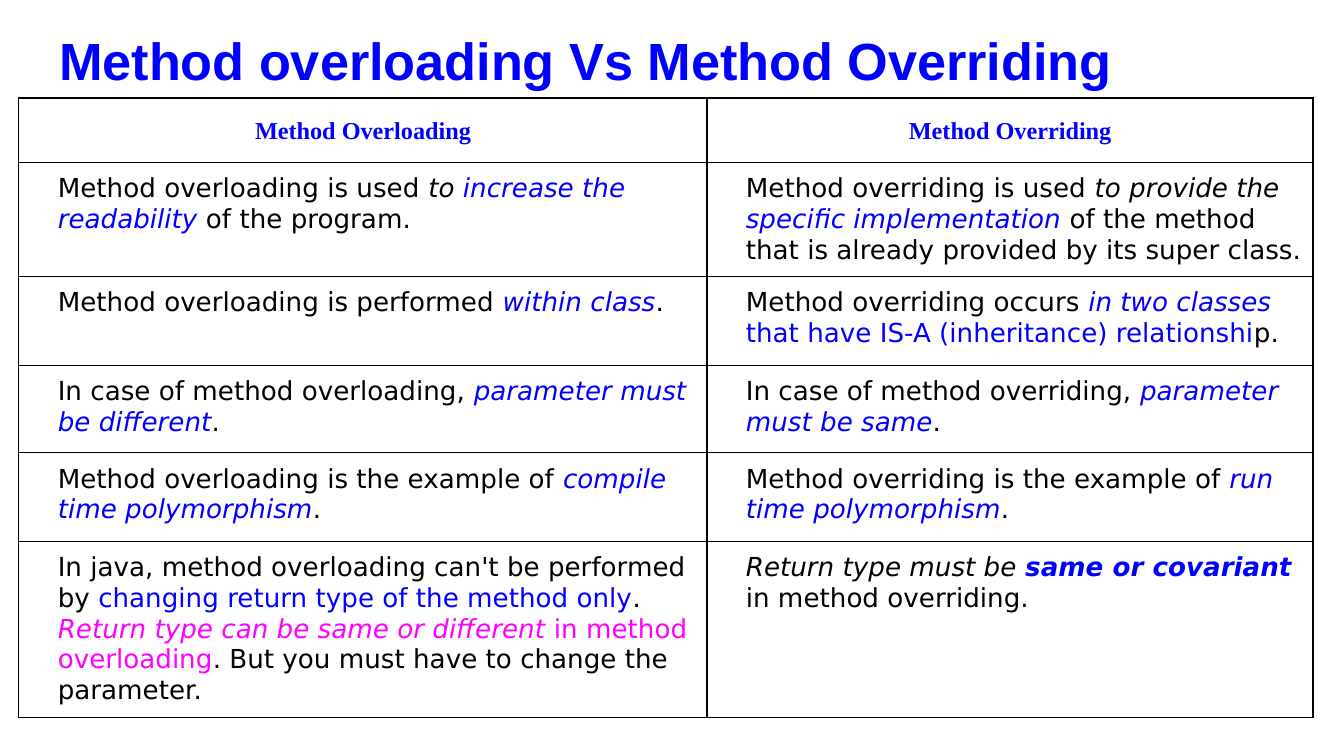
"""Build a slide comparing method overloading with method overriding."""
from lxml.etree import SubElement
from pptx import Presentation
from pptx.dml.color import RGBColor
from pptx.enum.text import MSO_ANCHOR, PP_ALIGN
from pptx.oxml.ns import qn
from pptx.util import Inches, Pt

COLORS = {"black": "000000", "blue": "0000FF", "pink": "FF00FF", "white": "FFFFFF"}
TITLE = "Method overloading Vs Method Overriding"
HEADS = ["Method Overloading", "Method Overriding"]
COLS = [5.12, 4.51]
ROWS = [0.48, 0.85, 0.66, 0.65, 0.66, 1.31]
BODY = [
    [
        [("Method overloading is used ",), ("to ", "black", "i"),
         ("increase the readability", "blue", "i"), (" of the program.",)],
        [("Method overriding is used ",), ("to provide the ", "black", "i"),
         ("specific implementation", "blue", "i"),
         (" of the method that is already provided by its super class.",)],
    ],
    [
        [("Method overloading is performed ",), ("within class", "blue", "i"), (".",)],
        [("Method overriding occurs ",), ("in two classes", "blue", "i"),
         (" that have IS-A (inheritance) relationshi", "blue"), ("p.",)],
    ],
    [
        [("In case of method overloading, ",),
         ("parameter must be different", "blue", "i"), (".",)],
        [("In case of method overriding, ",),
         ("parameter must be same", "blue", "i"), (".",)],
    ],
    [
        [("Method overloading is the example of ",),
         ("compile time polymorphism", "blue", "i"), (".",)],
        [("Method overriding is the example of ",),
         ("run time polymorphism", "blue", "i"), (".",)],
    ],
    [
        [("In java, method overloading can't be performed by ",),
         ("changing return type of the method only", "blue"), (". ",),
         ("Return type can be same or different", "pink", "i"),
         (" in method overloading", "pink"),
         (". But you must have to change the parameter.",)],
        [("Return type must be ", "black", "i"), ("same or covariant", "blue", "bi"),
         (" in method overriding.",)],
    ],
]


class Deck:
    """Hold the style and the current slide."""

    def __init__(self):
        self.prs = Presentation()
        self.prs.slide_width = Inches(10)
        self.prs.slide_height = Inches(10) * 9 // 16
        self.slide = self.prs.slides.add_slide(self.prs.slide_layouts[5])

    def run(self, para, face, size, text, color="black", style=""):
        """Add one styled run."""
        run = para.add_run()
        run.text = text
        font = run.font
        font.name, font.size = face, Pt(size)
        font.bold, font.italic = "b" in style, "i" in style
        font.color.rgb = RGBColor.from_string(COLORS[color])

    def title(self, text):
        """Place and fill the title."""
        shape = self.slide.shapes.title
        shape.left, shape.top = Inches(0.34), Inches(0.11)
        shape.width, shape.height = Inches(9.32), Inches(0.63)
        frame = shape.text_frame
        frame.vertical_anchor = MSO_ANCHOR.TOP
        frame.margin_left = frame.margin_right = Inches(0.1)
        frame.margin_top = frame.margin_bottom = Inches(0.1)
        para = frame.paragraphs[0]
        para.alignment = PP_ALIGN.LEFT
        self.run(para, "Arial", 28, text, "blue", "b")

    def cell(self, cell, inset):
        """Style a cell and return its paragraph."""
        props = cell._tc.get_or_add_tcPr()
        for side in "LRTB":
            line = SubElement(props, qn(f"a:ln{side}"), w=str(Pt(0.75)))
            fill = SubElement(line, qn("a:solidFill"))
            SubElement(fill, qn("a:srgbClr"), val=COLORS["black"])
        cell.fill.solid()
        cell.fill.fore_color.rgb = RGBColor.from_string(COLORS["white"])
        cell.margin_left = cell.margin_right = Inches(inset)
        cell.margin_top = cell.margin_bottom = Inches(inset)
        return cell.text_frame.paragraphs[0]

    def table(self, heads, body):
        """Add the comparison table."""
        frame = self.slide.shapes.add_table(
            len(ROWS), len(COLS), Inches(0.14), Inches(0.73),
            Inches(sum(COLS)), Inches(sum(ROWS)))
        table = frame.table
        for col, width in zip(table.columns, COLS):
            col.width = Inches(width)
        for row, height in zip(table.rows, ROWS):
            row.height = Inches(height)
        for c, text in enumerate(heads):
            para = self.cell(table.cell(0, c), 0.12)
            para.alignment = PP_ALIGN.CENTER
            para.line_spacing = 1.15
            self.run(para, "Times New Roman", 13, text, "blue", "b")
        for r, row in enumerate(body, 1):
            for c, runs in enumerate(row):
                para = self.cell(table.cell(r, c), 0.08)
                para._p.get_or_add_pPr().set("marL", str(Inches(0.21)))
                for run in runs:
                    self.run(para, "DejaVu Sans", 14, *run)


def main():
    """Build and save the slide."""
    deck = Deck()
    deck.title(TITLE)
    deck.table(HEADS, BODY)
    deck.prs.save("out.pptx")


if __name__ == "__main__":
    main()
